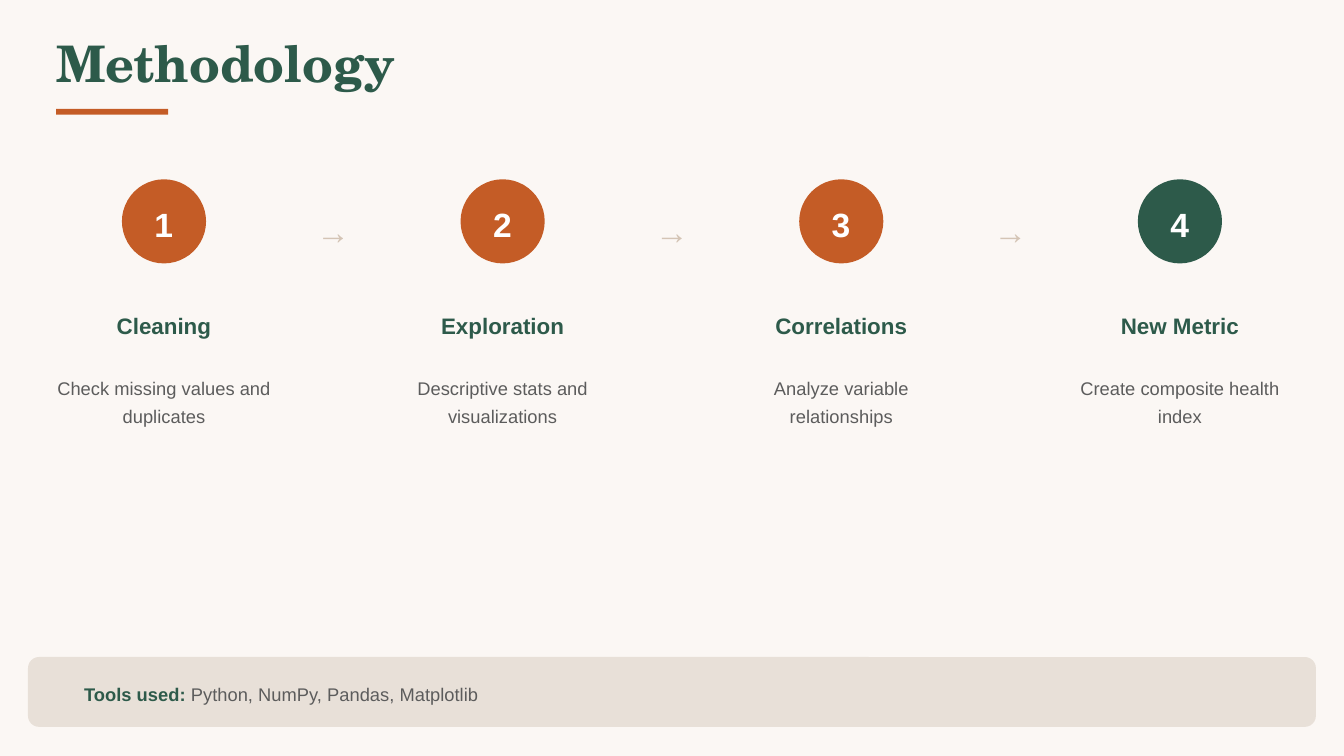
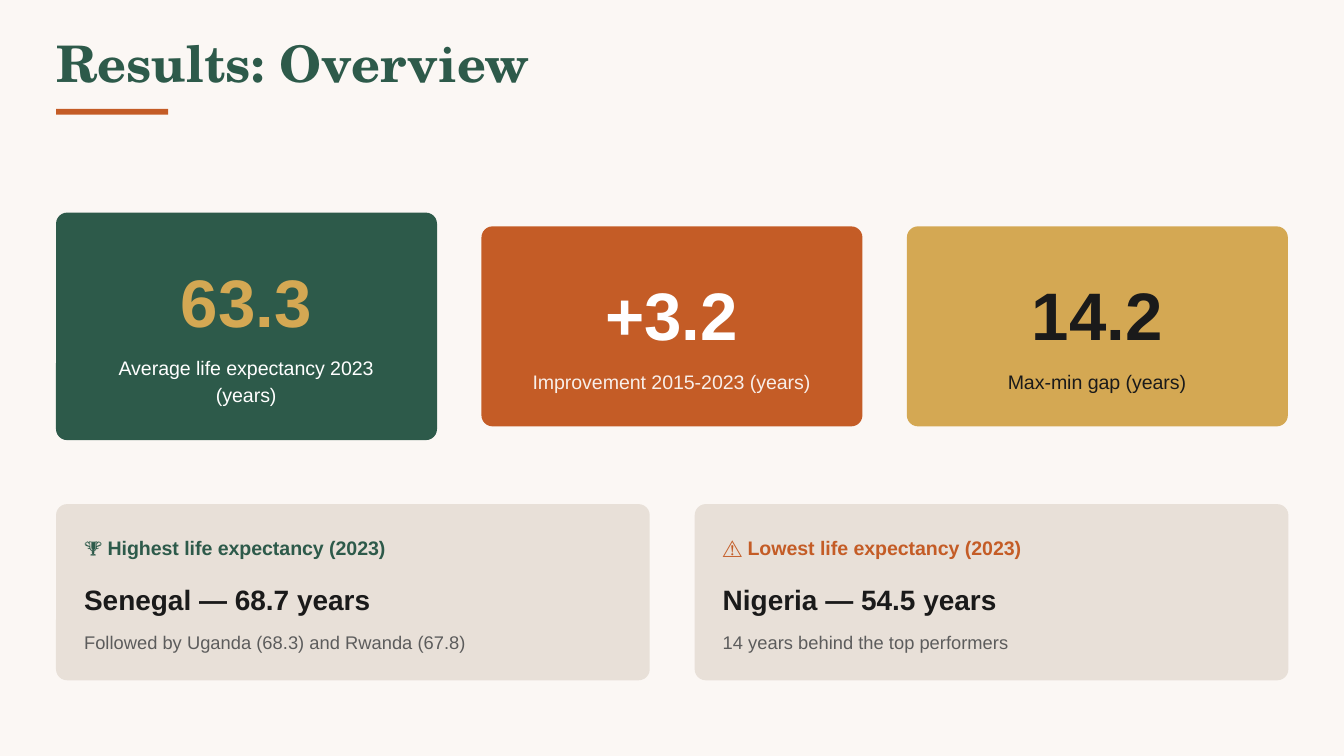
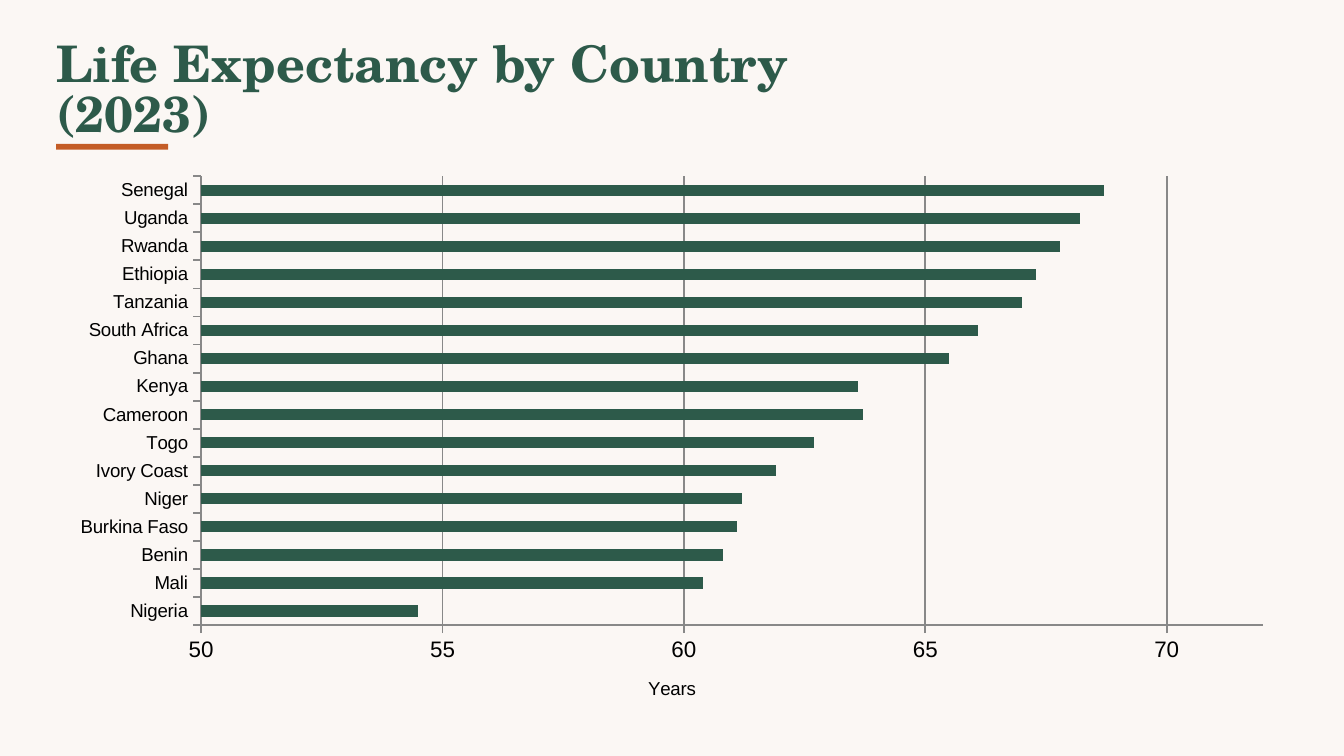
import dataclasses

import lxml.etree
import pptx
import pptx.chart.data
import pptx.dml.color
import pptx.enum.chart
import pptx.enum.shapes
import pptx.enum.text
import pptx.oxml.ns
import pptx.util

Cm = pptx.util.Cm
Pt = pptx.util.Pt
Align = pptx.enum.text.PP_ALIGN
Shape = pptx.enum.shapes.MSO_SHAPE


@dataclasses.dataclass(frozen=True)
class Theme:
    page: str = "FBF7F4"
    green: str = "2D5A4A"
    rust: str = "C45C26"
    gold: str = "D4A853"
    sand: str = "E8E0D8"
    tan: str = "D4C4B5"
    ink: str = "1A1A1A"
    grey: str = "5C5C5C"
    white: str = "FFFFFF"
    black: str = "000000"
    line: str = "888888"
    serif: str = "TeX Gyre Schola"
    sans: str = "Arial"
    chart: str = "Calibri"
    title: float = 27
    huge: float = 36
    step: float = 18
    fact: float = 15
    head: float = 12
    label: float = 10.5
    axis: float = 10
    body: float = 9.8


THEME = Theme()
LEFT = 1.06
RADIUS = 0.21


def rgb(code):
    return pptx.dml.color.RGBColor.from_string(code)


def style(font, size, color, bold=False, face=THEME.sans):
    font.name, font.size, font.bold = face, Pt(size), bold
    font.color.rgb = rgb(color)


def write(frame, *parts, size, lead, align=Align.LEFT, face=THEME.sans,
          alpha=100, inset=0, wrap=True):
    """Fill a frame with one paragraph; each part is (text, color, bold)."""
    frame.word_wrap = wrap
    frame.auto_size = pptx.enum.text.MSO_AUTO_SIZE.NONE
    frame.vertical_anchor = pptx.enum.text.MSO_ANCHOR.TOP
    frame.margin_left = frame.margin_right = frame.margin_bottom = 0
    frame.margin_top = Cm(inset)
    para = frame.paragraphs[0]
    para.alignment, para.line_spacing = align, Pt(lead)
    for text, color, bold in parts:
        run = para.add_run()
        run.text = text
        style(run.font, size, color, bold, face)
        if alpha < 100:
            tag = pptx.oxml.ns.qn
            fill = run._r.find(".//" + tag("a:srgbClr"))
            lxml.etree.SubElement(fill, tag("a:alpha"), val=str(alpha * 1000))


class Deck:
    def __init__(self, theme):
        self.theme = theme
        self.file = pptx.Presentation()
        self.file.slide_width, self.file.slide_height = Cm(25.4), Cm(14.29)
        back = self.file.slide_master.background.fill
        back.solid()
        back.fore_color.rgb = rgb(theme.page)
        self.slide = None

    def start(self, title, width=11.91, rule=2.06):
        """Add a slide with its title and the short rule below it."""
        t = self.theme
        self.slide = self.file.slides.add_slide(self.file.slide_layouts[5])
        head = self.slide.shapes.title
        head.left, head.top = Cm(LEFT), Cm(0.79)
        head.width, head.height = Cm(width), Cm(0.97)
        write(head.text_frame, (title, t.green, True), size=t.title,
              lead=t.title, face=t.serif)
        self.box(LEFT, rule, 2.12, 0.11, t.rust)

    def box(self, x, y, w, h, color, radius=0):
        kind = Shape.ROUNDED_RECTANGLE if radius else Shape.RECTANGLE
        shape = self.slide.shapes.add_shape(kind, Cm(x), Cm(y), Cm(w), Cm(h))
        if radius:
            shape.adjustments[0] = radius / min(w, h)
        shape.shadow.inherit = False
        shape.fill.solid()
        shape.fill.fore_color.rgb = rgb(color)
        shape.line.fill.background()

    def text(self, x, y, w, h, *parts, **form):
        area = self.slide.shapes.add_textbox(Cm(x), Cm(y), Cm(w), Cm(h))
        write(area.text_frame, *parts, **form)

    def bars(self, x, y, w, h, rows, low, high, unit):
        t = self.theme
        data = pptx.chart.data.CategoryChartData()
        data.categories = [name for name, _ in rows]
        data.add_series("Series 1", [value for _, value in rows])
        chart = self.slide.shapes.add_chart(
            pptx.enum.chart.XL_CHART_TYPE.BAR_CLUSTERED,
            Cm(x), Cm(y), Cm(w), Cm(h), data).chart
        chart.has_legend = chart.has_title = False
        style(chart.font, t.axis, t.black, face=t.chart)
        plot = chart.plots[0]
        plot.gap_width, plot.vary_by_categories = 150, False
        fill = plot.series[0].format.fill
        fill.solid()
        fill.fore_color.rgb = rgb(t.green)

        names, scale = chart.category_axis, chart.value_axis
        scale.minimum_scale, scale.maximum_scale = low, high
        scale.major_unit = 5
        scale.tick_label_position = pptx.enum.chart.XL_TICK_LABEL_POSITION.LOW
        scale.has_major_gridlines = True
        for axis, size in ((names, t.axis), (scale, t.head)):
            axis.major_tick_mark = pptx.enum.chart.XL_TICK_MARK.OUTSIDE
            style(axis.tick_labels.font, size, t.black)
        for part in (names, scale, scale.major_gridlines):
            part.format.line.color.rgb = rgb(t.line)
            part.format.line.width = Pt(1)
        title = scale.axis_title.text_frame
        title.text = unit
        style(title.paragraphs[0].runs[0].font, t.axis, t.black)


def method(deck):
    t = deck.theme
    deck.start("Methodology")
    steps = [
        ("Cleaning", 1.83, "Check missing values and duplicates"),
        ("Exploration", 2.39, "Descriptive stats and visualizations"),
        ("Correlations", 2.54, "Analyze variable relationships"),
        ("New Metric", 2.29, "Create composite health index"),
    ]
    pitch, disc = 6.4, 1.59
    for i, (name, width, note) in enumerate(steps):
        mid = 3.1 + i * pitch
        last = i == len(steps) - 1
        deck.box(mid - disc / 2, 3.39, disc, disc,
                 t.green if last else t.rust, disc / 2)
        deck.text(mid - 0.18, 3.73, 0.36, 0.89, (str(i + 1), t.white, True),
                  size=t.step, lead=25.2, wrap=False)
        deck.text(mid - width / 2, 5.82, width, 0.58, (name, t.green, True),
                  size=t.head, lead=16.8, align=Align.CENTER, wrap=False)
        deck.text(mid - 2.08, 7.04, 4.16, 1.04, (note, t.grey, False),
                  size=t.body, lead=14.6, align=Align.CENTER)
        if not last:
            deck.text(mid + 2.88, 3.39, 0.66, 1.37, ("→", t.tan, False),
                      size=t.step, lead=25.2, inset=0.48, wrap=False)
    deck.box(0.53, 12.42, 24.34, 1.32, t.sand, RADIUS)
    deck.text(1.59, 12.85, 22.68, 0.48, ("Tools used:", t.green, True),
              (" Python, NumPy, Pandas, Matplotlib", t.grey, False),
              size=t.body, lead=13.7)


def results(deck):
    t = deck.theme
    deck.start("Results: Overview")
    cards = [
        ("63.3", "Average life expectancy 2023 (years)", 2,
         t.green, t.gold, t.white, 100),
        ("+3.2", "Improvement 2015-2023 (years)", 1,
         t.rust, t.white, t.white, 90),
        ("14.2", "Max-min gap (years)", 1, t.gold, t.ink, t.ink, 100),
    ]
    for i, (value, label, lines, fill, main, tint, alpha) in enumerate(cards):
        x, h = LEFT + i * 8.04, 3.26 + 0.52 * lines
        y = 6.17 - h / 2
        deck.box(x, y, 7.2, h, fill, RADIUS)
        deck.text(x + 0.57, y + 0.64, 6.05, 1.78, (value, main, True),
                  size=t.huge, lead=50.4, align=Align.CENTER)
        deck.text(x + 0.57, y + 2.63, 6.05, 0.52 * lines,
                  (label, tint, False), size=t.label, lead=14.7,
                  align=Align.CENTER, alpha=alpha)

    facts = [
        ("🏆 Highest life expectancy (2023)", t.green,
         "Senegal — 68.7 years", "Followed by Uganda (68.3) and Rwanda (67.8)"),
        ("⚠️ Lowest life expectancy (2023)", t.rust,
         "Nigeria — 54.5 years", "14 years behind the top performers"),
    ]
    for i, (head, color, fact, note) in enumerate(facts):
        x = LEFT + i * 12.07
        deck.box(x, 9.53, 11.22, 3.33, t.sand, RADIUS)
        rows = [
            (10.06, 0.52, (head, color, True), t.label, 14.7),
            (10.9, 0.74, (fact, t.ink, True), t.fact, 21),
            (11.86, 0.48, (note, t.grey, False), t.body, 13.7),
        ]
        for y, h, part, size, lead in rows:
            deck.text(x + 0.53, y, 10.36, h, part, size=size, lead=lead)


def lands(deck):
    deck.start("Life Expectancy by Country (2023)", width=14.58, rule=2.72)
    rows = [
        ("Nigeria", 54.5), ("Mali", 60.4), ("Benin", 60.8),
        ("Burkina Faso", 61.1), ("Niger", 61.2), ("Ivory Coast", 61.9),
        ("Togo", 62.7), ("Cameroon", 63.7), ("Kenya", 63.6),
        ("Ghana", 65.5), ("South Africa", 66.1), ("Tanzania", 67),
        ("Ethiopia", 67.3), ("Rwanda", 67.8), ("Uganda", 68.2),
        ("Senegal", 68.7),
    ]
    deck.bars(LEFT, 3.12, 23.28, 10.64, rows, 50, 72, "Years")


def main():
    deck = Deck(THEME)
    method(deck)
    results(deck)
    lands(deck)
    deck.file.save("out.pptx")


if __name__ == "__main__":
    main()
